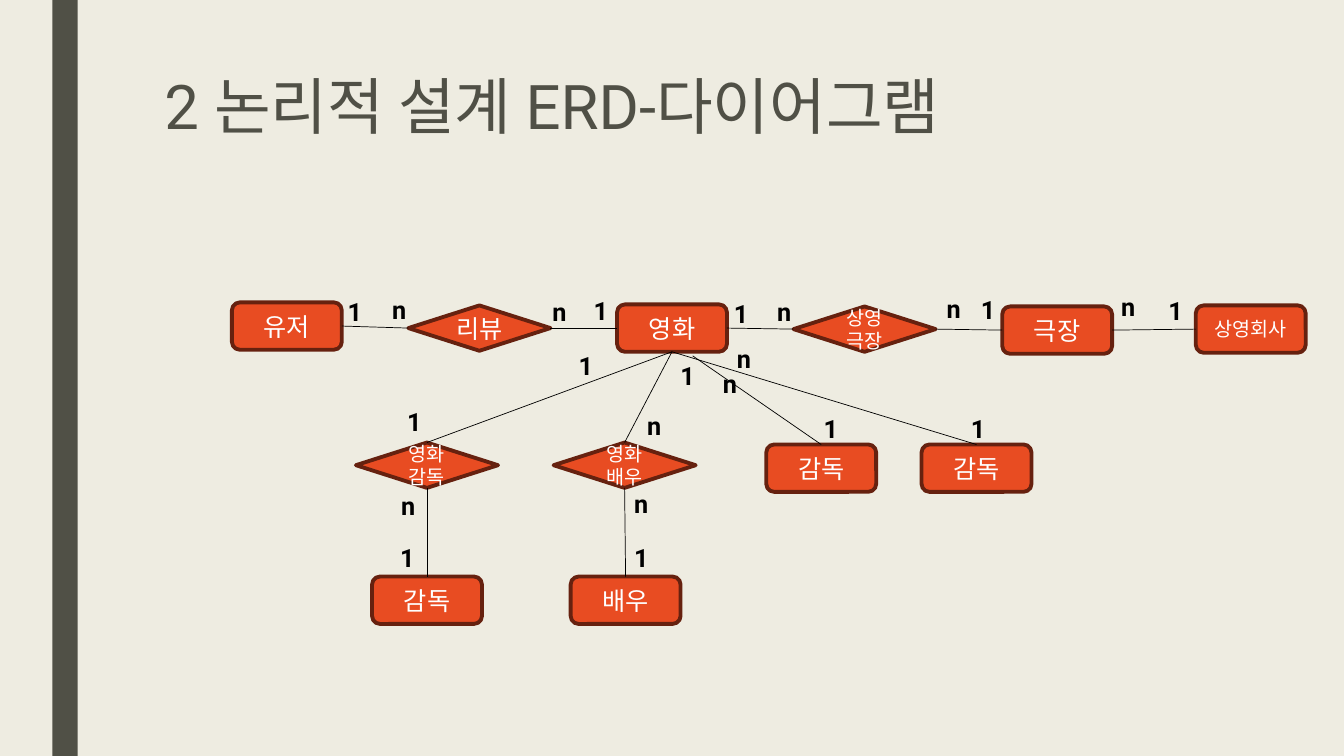
"""Build the slide with the entity-relationship diagram of a movie database."""
from dataclasses import dataclass

from lxml.etree import SubElement
from pptx import Presentation
from pptx.dml.color import RGBColor
from pptx.enum.shapes import MSO_CONNECTOR, MSO_SHAPE
from pptx.enum.text import MSO_ANCHOR as ANCHOR, MSO_AUTO_SIZE as AUTO_SIZE, PP_ALIGN as ALIGN
from pptx.oxml.ns import qn
from pptx.util import Pt


@dataclass(frozen=True)
class Theme:
    font: str = "Roboto"
    paper: RGBColor = RGBColor.from_string("EEECE1")
    olive: RGBColor = RGBColor.from_string("505046")
    orange: RGBColor = RGBColor.from_string("E84C22")
    brown: RGBColor = RGBColor.from_string("66210F")
    white: RGBColor = RGBColor.from_string("FFFFFF")
    black: RGBColor = RGBColor.from_string("000000")
    title: int = 44
    body: int = 18
    small: int = 14


THEME = Theme()
PX = 9144
TOP, LEFT, BOTTOM, RIGHT = range(4)


def px(*lengths):
    """Turn px into EMU."""
    return [length * PX for length in lengths]


def write(shape, text, size, color, align=ALIGN.LEFT, bold=False):
    """Put one styled paragraph into a shape and return it."""
    shape.text_frame.text = text
    shape.text_frame.word_wrap = True
    paragraph = shape.text_frame.paragraphs[0]
    paragraph.alignment = align
    paragraph.font.name = THEME.font
    paragraph.font.size = Pt(size)
    paragraph.font.bold = bold
    paragraph.font.color.rgb = color
    return paragraph


presentation = Presentation()
presentation.slide_width, presentation.slide_height = px(1333, 750)
slide = presentation.slides.add_slide(presentation.slide_layouts[5])
slide.background.fill.solid()
slide.background.fill.fore_color.rgb = THEME.paper

rail = slide.shapes.add_shape(MSO_SHAPE.RECTANGLE, *px(52, 0, 25, 750))
rail.shadow.inherit = False
rail.fill.solid()
rail.fill.fore_color.rgb = THEME.olive
rail.line.fill.background()

title = slide.shapes.title
title.left, title.top, title.width, title.height = px(153, 71, 1050, 162)
title_paragraph = write(title, "2 논리적 설계 ERD-다이어그램", THEME.title, THEME.olive)
title_paragraph.line_spacing = 0.89
title.text_frame.vertical_anchor = ANCHOR.TOP
title.text_frame.auto_size = AUTO_SIZE.NONE

ENTITY = (MSO_SHAPE.ROUNDED_RECTANGLE, 109, 47)
RELATION = (MSO_SHAPE.DIAMOND, 141, 45)
NODES = {
    "movie": (ENTITY, "영화", 612, 302),
    "user": (ENTITY, "유저", 230, 300),
    "theater": (ENTITY, "극장", 994, 304),
    "company": (ENTITY, "상영회사", 1186, 303),
    "review": (RELATION, "리뷰", 405, 303),
    "screening": (RELATION, "상영극장", 787, 304),
    "movie_director": (RELATION, "영화감독", 353, 439),
    "movie_actor": (RELATION, "영화배우", 549, 439),
    "director": (ENTITY, "감독", 369, 572),
    "actor": (ENTITY, "배우", 566, 572),
    "inner_director": (ENTITY, "감독", 760, 441),
    "outer_director": (ENTITY, "감독", 914, 441),
}
nodes = {}
for name, ((preset, width, height), text, left, top) in NODES.items():
    node = slide.shapes.add_shape(preset, *px(left, top, width, height))
    node.shadow.inherit = False
    node.fill.solid()
    node.fill.fore_color.rgb = THEME.orange
    node.line.color.rgb = THEME.brown
    node.line.width = Pt(2.75)
    size = THEME.small if len(text) > 2 else THEME.body
    write(node, text, size, THEME.white, ALIGN.CENTER)
    node.text_frame.vertical_anchor = ANCHOR.MIDDLE
    nodes[name] = node

LINKS = [
    ("user", RIGHT, "review", LEFT),
    ("review", RIGHT, "movie", LEFT),
    ("movie", RIGHT, "screening", LEFT),
    ("screening", RIGHT, "theater", LEFT),
    ("theater", RIGHT, "company", LEFT),
    ("movie", BOTTOM, "movie_director", TOP),
    ("movie", BOTTOM, "movie_actor", TOP),
    ("movie_director", BOTTOM, "director", TOP),
    ("movie_actor", BOTTOM, "actor", TOP),
    (None, None, "inner_director", TOP),
    ("movie", BOTTOM, "outer_director", TOP),
]
for start, start_side, end, end_side in LINKS:
    link = slide.shapes.add_connector(MSO_CONNECTOR.STRAIGHT, *px(687, 353, 815, 441))
    if start:
        link.begin_connect(nodes[start], start_side)
    link.end_connect(nodes[end], end_side)
    link.line.color.rgb = THEME.black
    link.line.width = Pt(0.5)
    SubElement(link.element.spPr, qn("a:effectLst"))

CARDINALITIES = {
    ("n", 40): [
        (379, 287), (929, 286), (538, 289), (632, 402), (761, 289), (388, 482),
        (619, 480), (1102, 284), (707, 360), (721, 336),
    ],
    ("1", 71): [
        (335, 289), (579, 288), (718, 291), (963, 287), (665, 353), (564, 343),
        (394, 398), (387, 533), (619, 533), (1149, 288), (953, 405), (807, 405),
    ],
}
for (symbol, height), places in CARDINALITIES.items():
    for left, top in places:
        label = slide.shapes.add_textbox(*px(left, top, 42, height))
        write(label, symbol, THEME.body, THEME.black, bold=True)
        label.text_frame.auto_size = AUTO_SIZE.SHAPE_TO_FIT_TEXT

presentation.save("out.pptx")
